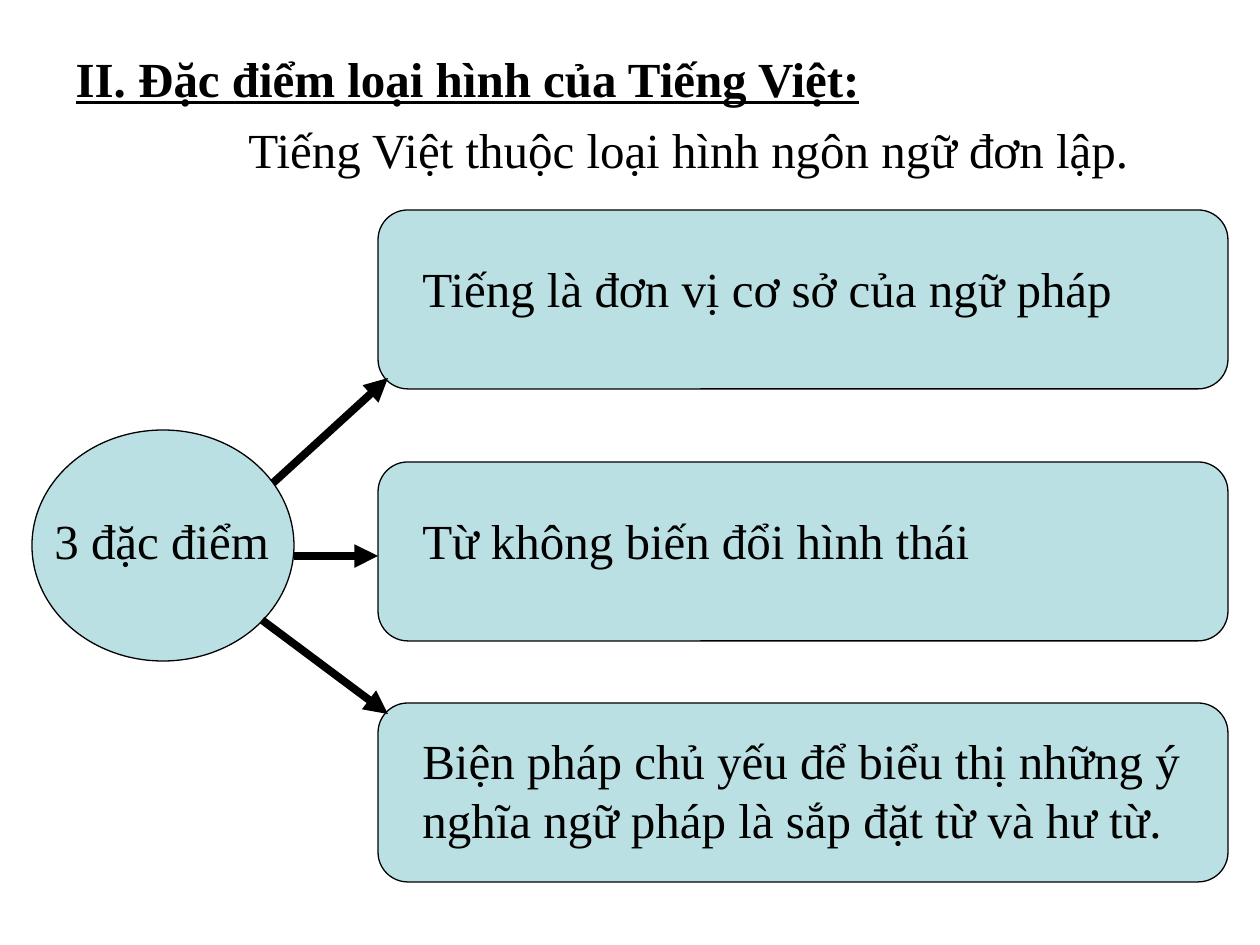
from lxml.etree import SubElement
from pptx import Presentation
from pptx.dml.color import RGBColor
from pptx.enum.shapes import MSO_CONNECTOR as Connector, MSO_SHAPE as Shape
from pptx.enum.text import MSO_ANCHOR as Anchor, MSO_AUTO_SIZE as AutoSize, PP_ALIGN as Align
from pptx.oxml.ns import qn
from pptx.util import Pt

PX = 914400 / 126
BLACK = RGBColor(0x00, 0x00, 0x00)
PALE_TEAL = RGBColor(0xBB, 0xE0, 0xE3)
FONT = "Times New Roman"

# Vietnamese tone marks are stored as combining characters after the vowel
TONES = [
    (0x300, "ìàừ", "iaư"),
    (0x301, "ếáắý", "êaăy"),
    (0x303, "ữĩ", "ưi"),
    (0x309, "ểủởổ", "êuơô"),
    (0x323, "ặạệộậị", "ăaêôâi"),
]
TONE_TABLE = str.maketrans({
    toned: vowel + chr(mark)
    for mark, toned_vowels, vowels in TONES
    for toned, vowel in zip(toned_vowels, vowels)
})

BOX_LEFT, BOX_WIDTH, BOX_HEIGHT = 378, 850, 179
LABEL_LEFT = 410

# Box top, label top, label height, label
FEATURES = [
    (210, 252, 72, "Tiếng là đơn vị cơ sở của ngữ pháp"),
    (462, 504, 72, "Từ không biến đổi hình thái"),
    (703, 724, 131, "Biện pháp chủ yếu để biểu thị những ý nghĩa ngữ pháp là sắp đặt từ và hư từ."),
]

# Start and end of each arrow
ARROWS = [
    (273, 483, 388, 378),
    (262, 620, 388, 714),
    (294, 556, 378, 556),
]


def px(*lengths):
    return [round(length * PX) for length in lengths]


def write_text(shape, text, heading=False):
    frame = shape.text_frame
    frame.word_wrap = True
    frame.auto_size = AutoSize.NONE
    frame.vertical_anchor = Anchor.TOP
    paragraph = frame.paragraphs[0]
    paragraph.alignment = Align.LEFT
    run = paragraph.add_run()
    run.text = text.translate(TONE_TABLE)
    run.font.name = FONT
    run.font.size = Pt(28)
    run.font.bold = heading
    run.font.underline = heading
    run.font.color.rgb = BLACK


def add_title(slide, text, left, top, width, height):
    title = slide.shapes.title
    title.left, title.top, title.width, title.height = px(left, top, width, height)
    write_text(title, text, heading=True)


def add_label(slide, text, left, top, width, height):
    write_text(slide.shapes.add_textbox(*px(left, top, width, height)), text)


def add_panel(slide, kind, left, top, width, height):
    shape = slide.shapes.add_shape(kind, *px(left, top, width, height))
    shape.shadow.inherit = False
    shape.fill.solid()
    shape.fill.fore_color.rgb = PALE_TEAL
    shape.line.color.rgb = BLACK
    shape.line.width = Pt(0.75)


def add_arrow(slide, *ends):
    arrow = slide.shapes.add_connector(Connector.STRAIGHT, *px(*ends))
    arrow.line.color.rgb = BLACK
    arrow.line.width = Pt(4.5)
    SubElement(arrow.line._get_or_add_ln(), qn("a:tailEnd"), type="triangle")
    SubElement(arrow._element.spPr, qn("a:effectLst"))


def main():
    presentation = Presentation()
    presentation.slide_width, presentation.slide_height = px(1260, 945)
    slide = presentation.slides.add_slide(presentation.slide_layouts[5])

    # Heading and statement
    add_title(slide, "II. Đặc điểm loại hình của Tiếng Việt:", 63, 42, 1134, 71)
    add_label(slide, "Tiếng Việt thuộc loại hình ngôn ngữ đơn lập.", 236, 113, 961, 71)

    # Three features
    for box_top, label_top, label_height, text in FEATURES:
        add_panel(slide, Shape.ROUNDED_RECTANGLE, BOX_LEFT, box_top, BOX_WIDTH, BOX_HEIGHT)
        add_label(slide, text, LABEL_LEFT, label_top, BOX_WIDTH, label_height)

    # Hub and its arrows
    add_panel(slide, Shape.OVAL, 32, 430, 262, 231)
    add_label(slide, "3 đặc điểm", 42, 504, 262, 72)
    for ends in ARROWS:
        add_arrow(slide, *ends)

    presentation.save("out.pptx")


if __name__ == "__main__":
    main()
